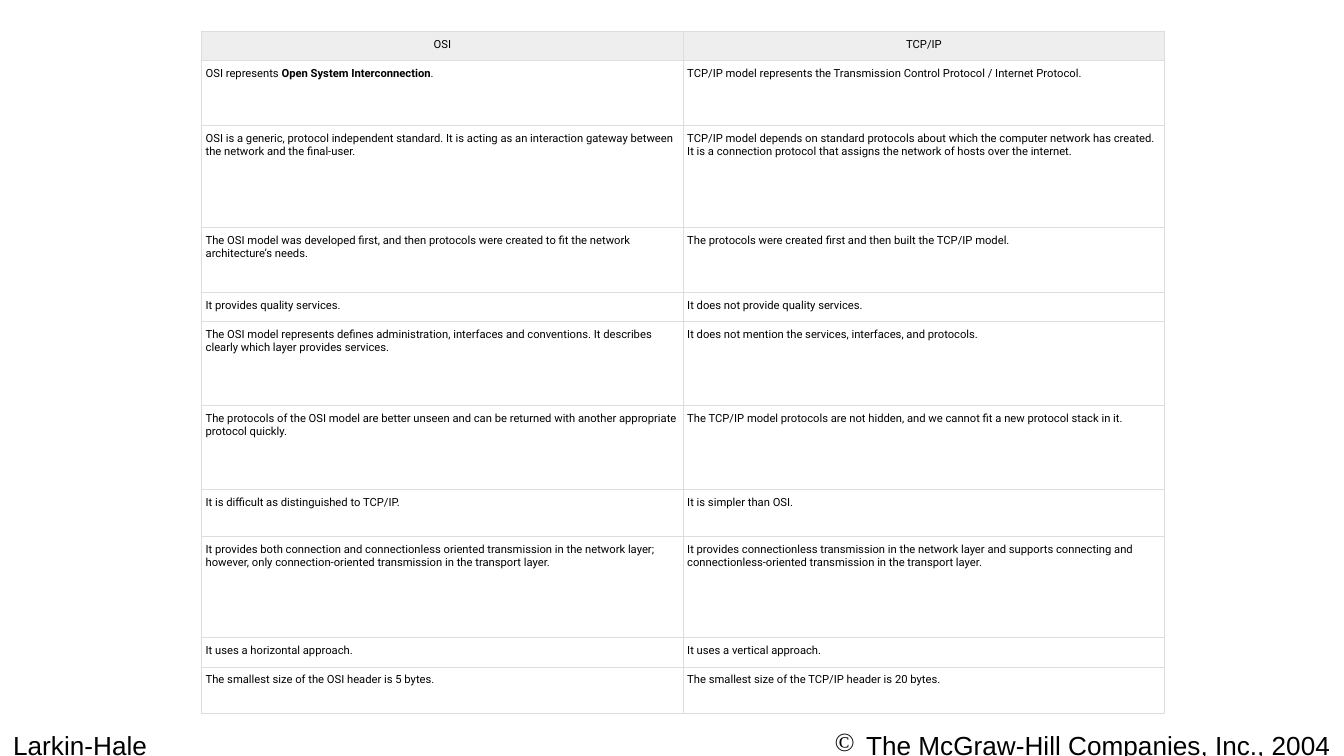
"""Build a slide with a table that compares the OSI and TCP/IP models."""
from dataclasses import dataclass
from typing import NamedTuple

from lxml.etree import SubElement
from pptx import Presentation
from pptx.dml.color import RGBColor as RGB
from pptx.enum.text import MSO_AUTO_SIZE as AutoSize, PP_ALIGN as Align
from pptx.oxml.ns import qn
from pptx.util import Pt


@dataclass(frozen=True)
class Theme:
    ink: str = "000000"
    header: str = "EEEEEE"
    body: str = "FFFFFF"
    border: str = "DDDDDD"
    border_width: float = 0.34
    table_font: str = "Roboto"
    table_size: float = 6
    footer_font: str = "Arial"
    footer_size: float = 14


class Row(NamedTuple):
    height: float
    osi: str
    tcp_ip: str


class Footer(NamedTuple):
    left: float
    width: float
    text: str
    align: Align
    bullet: str = ""


THEME = Theme()
SLIDE_W, SLIDE_H = 720, 405
TABLE_LEFT, TABLE_TOP, COL_W = 108, 16.6, 258
FOOTER_TOP, FOOTER_H, BULLET_INDENT = 387.4, 24.5, 17
SHORT, LOW, MEDIUM, HIGH, TALL = 15.6, 25, 35, 45, 54.5

ROWS = [
    Row(SHORT, "OSI", "TCP/IP"),
    Row(MEDIUM, "OSI represents **Open System Interconnection**.",
        "TCP/IP model represents the Transmission Control Protocol / Internet Protocol."),
    Row(TALL, "OSI is a generic, protocol independent standard. It is acting as an "
        "interaction gateway between the network and the final-user.",
        "TCP/IP model depends on standard protocols about which the computer network has "
        "created. It is a connection protocol that assigns the network of hosts over the internet."),
    Row(MEDIUM, "The OSI model was developed first, and then protocols were created to fit "
        "the network architecture’s needs.",
        "The protocols were created first and then built the TCP/IP model."),
    Row(SHORT, "It provides quality services.", "It does not provide quality services."),
    Row(HIGH, "The OSI model represents defines administration, interfaces and conventions. "
        "It describes clearly which layer provides services.",
        "It does not mention the services, interfaces, and protocols."),
    Row(HIGH, "The protocols of the OSI model are better unseen and can be returned with "
        "another appropriate protocol quickly.",
        "The TCP/IP model protocols are not hidden, and we cannot fit a new protocol stack in it."),
    Row(LOW, "It is difficult as distinguished to TCP/IP.", "It is simpler than OSI."),
    Row(TALL, "It provides both connection and connectionless oriented transmission in the "
        "network layer; however, only connection-oriented transmission in the transport layer.",
        "It provides connectionless transmission in the network layer and supports connecting "
        "and connectionless-oriented transmission in the transport layer."),
    Row(SHORT, "It uses a horizontal approach.", "It uses a vertical approach."),
    Row(LOW, "The smallest size of the OSI header is 5 bytes.",
        "The smallest size of the TCP/IP header is 20 bytes."),
]

FOOTERS = [
    Footer(0, 174, "Larkin-Hale", Align.LEFT),
    Footer(360, 360, "The McGraw-Hill Companies, Inc., 2004", Align.RIGHT, "©"),
]


def write(tf, text: str, *, font: str, size: float, align: Align = Align.LEFT,
          bullet: str = "") -> None:
    """Write one paragraph, with bold between double asterisks."""
    p = tf.paragraphs[0]
    p.alignment = align
    if bullet:
        pPr = p._p.get_or_add_pPr()
        pPr.set("marL", str(Pt(BULLET_INDENT)))
        pPr.set("indent", str(-Pt(BULLET_INDENT)))
        SubElement(pPr, qn("a:buChar")).set("char", bullet)
    for i, part in enumerate(text.split("**")):
        r = p.add_run()
        r.text = part
        r.font.name, r.font.size, r.font.bold = font, Pt(size), i % 2 == 1
        r.font.color.rgb = RGB.from_string(THEME.ink)


def style_cell(cell, fill: str) -> None:
    """Set the margins, borders and fill of a cell."""
    cell.margin_left = cell.margin_right = Pt(2.2)
    cell.margin_top = cell.margin_bottom = Pt(3.6)
    tcPr = cell._tc.get_or_add_tcPr()
    for side in ("lnL", "lnR", "lnT", "lnB"):
        ln = SubElement(tcPr, qn(f"a:{side}"), w=str(Pt(THEME.border_width)))
        SubElement(SubElement(ln, qn("a:solidFill")), qn("a:srgbClr"), val=THEME.border)
    cell.fill.solid()
    cell.fill.fore_color.rgb = RGB.from_string(fill)


def draw_table(s, rows: list[Row]) -> None:
    """Draw the comparison table with its header row."""
    height = sum(row.height for row in rows)
    table = s.shapes.add_table(len(rows), 2, Pt(TABLE_LEFT), Pt(TABLE_TOP),
                               Pt(2 * COL_W), Pt(height)).table
    table.first_row = table.horz_banding = False
    for col in table.columns:
        col.width = Pt(COL_W)
    for i, row in enumerate(rows):
        table.rows[i].height = Pt(row.height)
        for j, text in enumerate((row.osi, row.tcp_ip)):
            cell = table.cell(i, j)
            style_cell(cell, THEME.body if i else THEME.header)
            write(cell.text_frame, text, font=THEME.table_font, size=THEME.table_size,
                  align=Align.LEFT if i else Align.CENTER)


def draw_footer(s, footer: Footer) -> None:
    """Draw one footer text at the bottom of the slide."""
    tf = s.shapes.add_textbox(Pt(footer.left), Pt(FOOTER_TOP),
                              Pt(footer.width), Pt(FOOTER_H)).text_frame
    tf.word_wrap = True
    tf.auto_size = AutoSize.SHAPE_TO_FIT_TEXT
    write(tf, footer.text, font=THEME.footer_font, size=THEME.footer_size,
          align=footer.align, bullet=footer.bullet)


def main() -> None:
    """Build and save the slide."""
    prs = Presentation()
    prs.slide_width, prs.slide_height = Pt(SLIDE_W), Pt(SLIDE_H)
    s = prs.slides.add_slide(prs.slide_layouts[6])
    for footer in FOOTERS:
        draw_footer(s, footer)
    draw_table(s, ROWS)
    prs.save("out.pptx")


if __name__ == "__main__":
    main()
